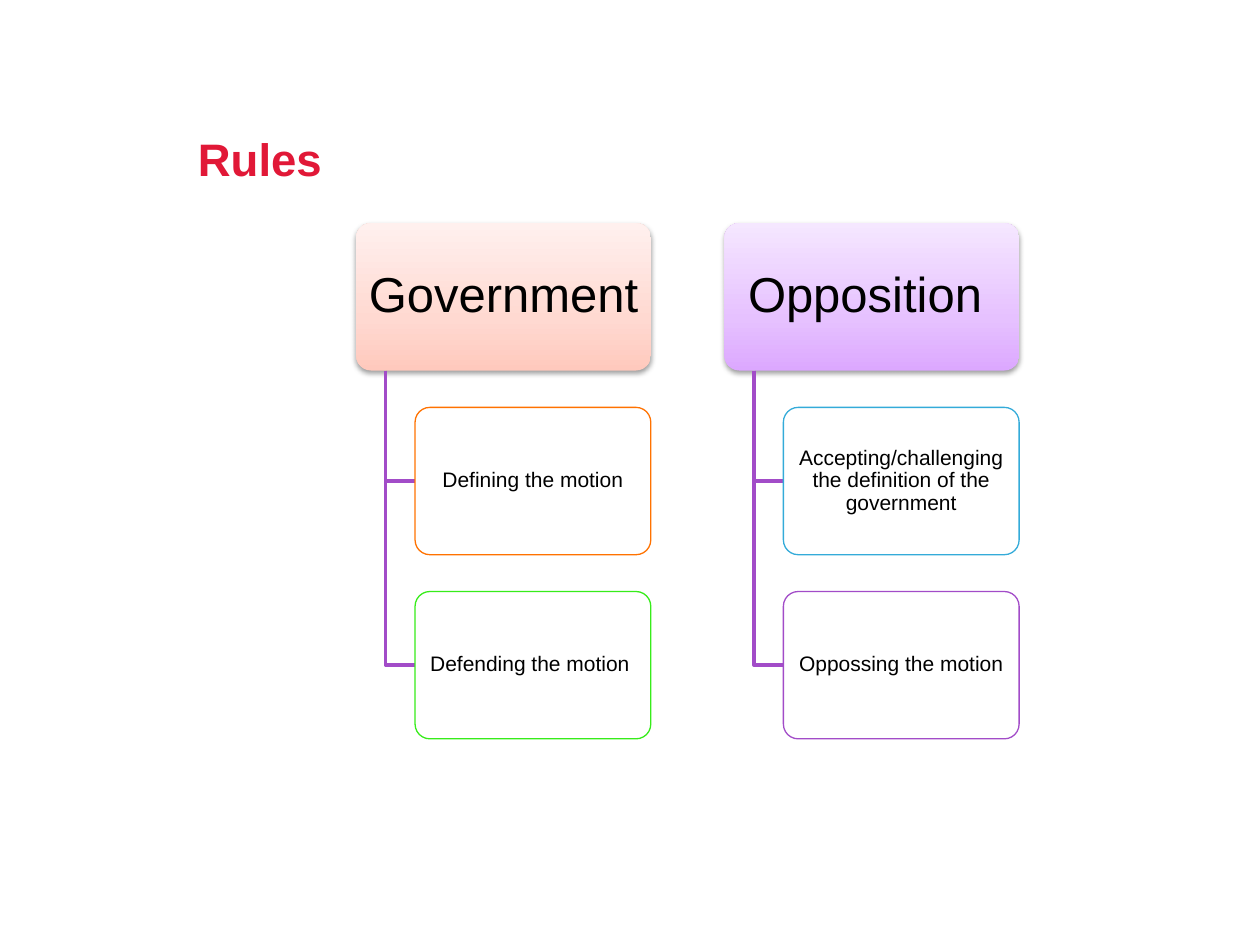
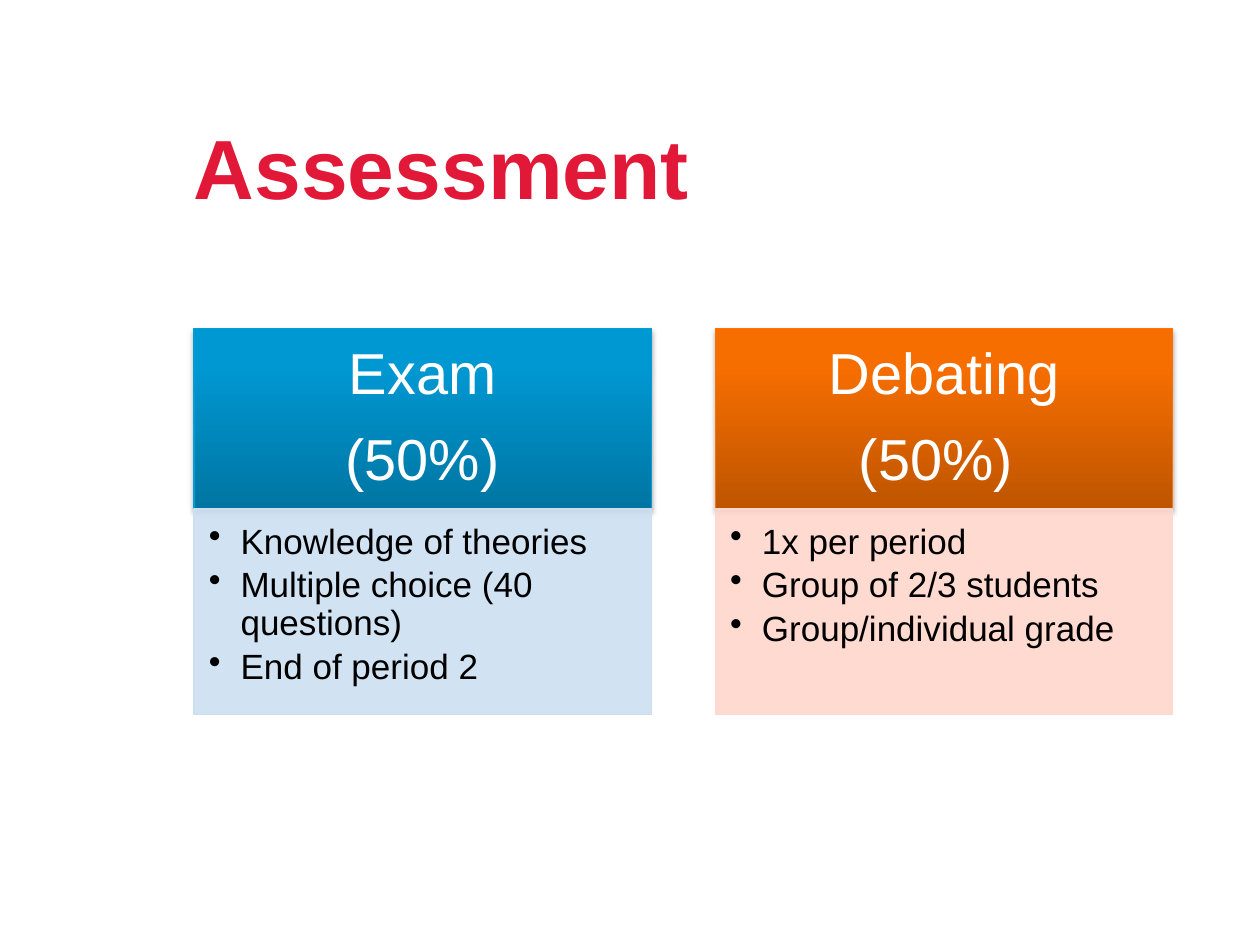
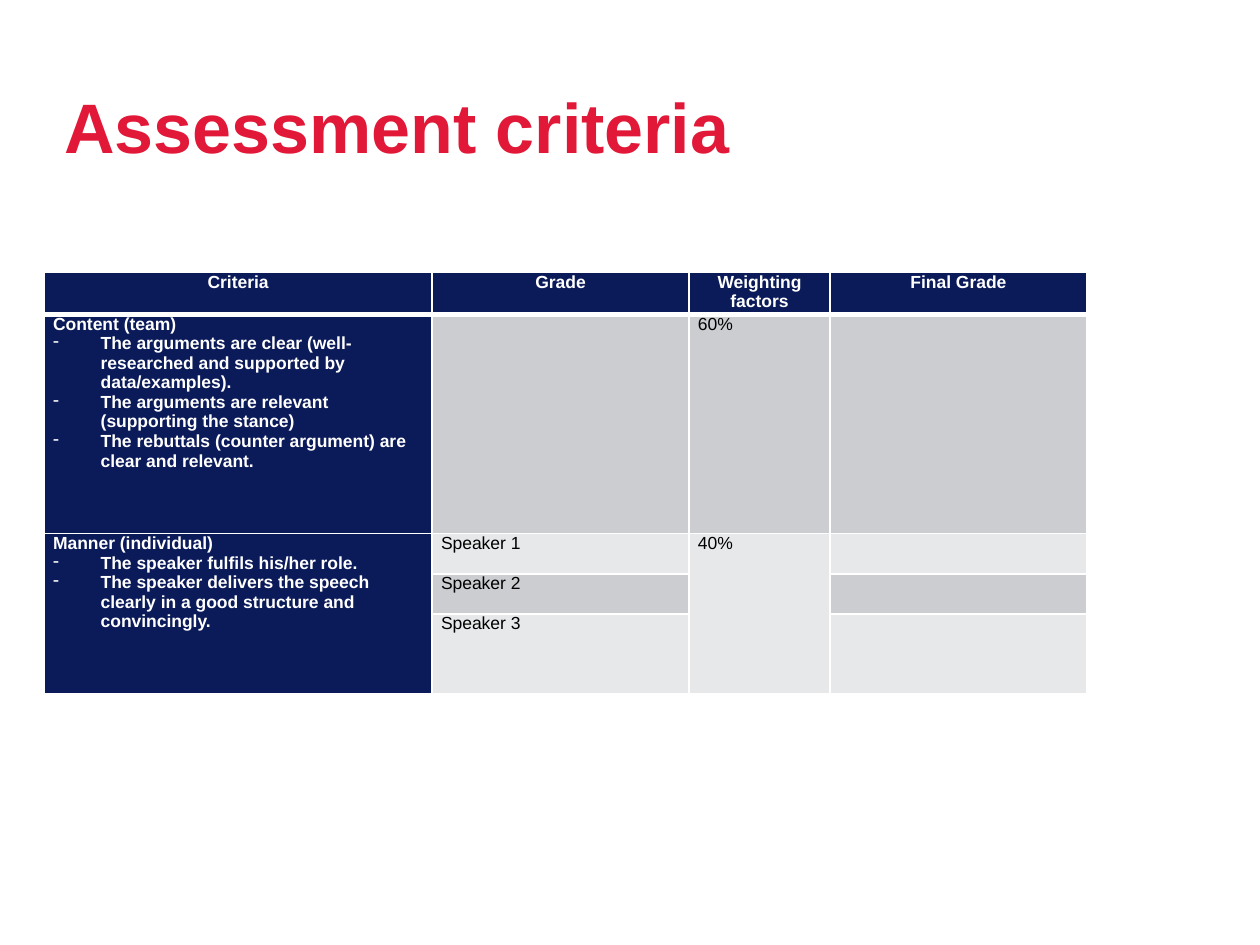
import copy

import pptx
import pptx.dml.color
import pptx.enum.shapes
import pptx.enum.text
import pptx.oxml.ns
import pptx.util
from lxml import etree

Cm = pptx.util.Cm
ALIGN = pptx.enum.text.PP_ALIGN
ANCHOR = pptx.enum.text.MSO_ANCHOR
SHAPE = pptx.enum.shapes.MSO_SHAPE
qn = pptx.oxml.ns.qn

RED, NAVY, PURPLE = "E11837", "0B1A58", "A24CC8"
WHITE, BLACK = "FFFFFF", "000000"
DARK_BAND, LIGHT_BAND = "CCCDD1", "E7E8EA"
FONT = "Arial"


def color(hex_text):
    return pptx.dml.color.RGBColor.from_string(hex_text)


def add_xml(parent, tag, **attributes):
    texts = {name: str(value) for name, value in attributes.items()}
    return etree.SubElement(parent, qn(tag), texts)


class Deck:
    """Holds the style and the slide being filled; lengths are in centimetres."""

    def __init__(self):
        self.presentation = pptx.Presentation()
        self.presentation.slide_width = Cm(25.4)
        self.presentation.slide_height = Cm(19.05)
        self.slide = None

    def new_slide(self, title, left, top, size):
        layout = self.presentation.slide_layouts[6]
        self.slide = self.presentation.slides.add_slide(layout)
        box = self.slide.shapes.add_textbox(Cm(left), Cm(top), Cm(19.79), Cm(1.4))
        self.frame(box.text_frame, (0, 0.13, 0.25, 0.13), ANCHOR.BOTTOM)
        self.add_lines(box.text_frame, [title], size, RED, bold=True, line_spacing=0.9)

    def frame(self, text_frame, insets, anchor):
        text_frame.word_wrap = True
        text_frame.vertical_anchor = anchor
        (text_frame.margin_left, text_frame.margin_top,
         text_frame.margin_right, text_frame.margin_bottom) = map(Cm, insets)

    def add_lines(self, text_frame, lines, size, text_color, bold=False, align=ALIGN.LEFT,
                  line_spacing=1.0, gap=0, bullet=None, indent=0, first_bullet=0):
        """Add one paragraph a line; gap is a share of the line height."""
        for index, line in enumerate(lines):
            paragraph = text_frame.paragraphs[0] if index == 0 else text_frame.add_paragraph()
            paragraph.alignment = align
            paragraph.line_spacing = line_spacing
            paragraph.space_after = pptx.util.Pt(round(gap * size * 1.15, 1))
            if bullet and index >= first_bullet:
                self.add_bullet(paragraph, bullet, indent)
            run = paragraph.add_run()
            run.text = line
            run.font.name = FONT
            run.font.size = pptx.util.Pt(size)
            run.font.bold = bold
            run.font.color.rgb = color(text_color)

    def add_bullet(self, paragraph, character, indent):
        properties = paragraph._p.get_or_add_pPr()
        properties.set("marL", str(Cm(indent)))
        properties.set("indent", str(-Cm(indent)))
        add_xml(properties, "a:buChar", char=character)

    def card(self, kind, left, top, width, height, line=None):
        card = self.slide.shapes.add_shape(kind, Cm(left), Cm(top), Cm(width), Cm(height))
        card.shadow.inherit = False
        if kind == SHAPE.ROUNDED_RECTANGLE:
            card.adjustments[0] = 0.1
        if line:
            card.line.color.rgb = color(line)
            card.line.width = pptx.util.Pt(0.75)
        else:
            card.line.fill.background()
        return card

    def fill_translucent(self, card, fill):
        card.fill.solid()
        card.fill.fore_color.rgb = color(fill)
        for fill_color in card._element.spPr.findall(qn("a:solidFill")):
            add_xml(fill_color[0], "a:alpha", val=90000)

    def fill_gradient(self, card, stops):
        """Run the gradient from the bottom edge to the top edge."""
        card.fill.gradient()
        card.fill.gradient_angle = 90
        stop_list = card._element.spPr.find(qn("a:gradFill")).find(qn("a:gsLst"))
        stop_list.append(copy.deepcopy(stop_list[0]))
        for stop, (position, stop_color) in zip(card.fill.gradient_stops, stops):
            stop.position = position
            stop.color.rgb = color(stop_color)

    def add_shadow(self, card, opacity, distance):
        effects = card._element.spPr.find(qn("a:effectLst"))
        shadow = add_xml(effects, "a:outerShdw", blurRad=pptx.util.Pt(3.1),
                         dist=pptx.util.Pt(distance), dir=5400000, rotWithShape=0)
        shadow_color = add_xml(shadow, "a:srgbClr", val=BLACK)
        add_xml(shadow_color, "a:alpha", val=opacity * 1000)

    def elbow(self, left, top, right, bottom):
        """Draw an open line down and then to the right."""
        builder = self.slide.shapes.build_freeform(Cm(left), Cm(top))
        corners = [(Cm(left), Cm(bottom)), (Cm(right), Cm(bottom))]
        builder.add_line_segments(corners, close=False)
        elbow = builder.convert_to_shape()
        elbow.shadow.inherit = False
        elbow.fill.background()
        elbow.line.color.rgb = color(PURPLE)
        elbow.line.width = pptx.util.Pt(2)

    def table(self, left, top, widths, heights):
        table = self.slide.shapes.add_table(
            len(heights), len(widths), Cm(left), Cm(top),
            Cm(sum(widths)), Cm(sum(heights))).table
        for column, width in zip(table.columns, widths):
            column.width = Cm(width)
        for row, height in zip(table.rows, heights):
            row.height = Cm(height)
        return table

    def style_cell(self, cell, fill, top_width, bottom_width):
        cell.margin_left = cell.margin_right = Cm(0.18)
        cell.margin_top = cell.margin_bottom = 0
        properties = cell._tc.get_or_add_tcPr()
        for side, width in zip("LRTB", (1, 1, top_width, bottom_width)):
            border = add_xml(properties, f"a:ln{side}", w=pptx.util.Pt(width))
            add_xml(add_xml(border, "a:solidFill"), "a:srgbClr", val=WHITE)
        cell.fill.solid()
        cell.fill.fore_color.rgb = color(fill)


def build_rules(deck):
    deck.new_slide("Rules", 3.99, 2.49, 26)
    left, top, width = 7.18, 4.5, 5.94
    height, row_pitch, column_pitch = width / 2, width * 5 / 8, width * 5 / 4
    teams = [
        ("Government ", [(0, "FFC9BD"), (0.35, "FFD9D1"), (1, "FFF0EE")],
         [("Defining the motion", "FF7200"), ("Defending the motion ", "37EC1A")]),
        ("Opposition ", [(0, "DCA8FF"), (0.35, "E6C1FF"), (1, "F5E7FF")],
         [("Accepting/challenging the definition of the government", "34ABD9"),
          ("Oppossing the motion", PURPLE)]),
    ]
    style = {"align": ALIGN.CENTER, "line_spacing": 0.9, "gap": 0.35}
    for column, (team, stops, tasks) in enumerate(teams):
        team_left = left + column * column_pitch
        task_left = team_left + width / 5
        header = deck.card(SHAPE.ROUNDED_RECTANGLE, team_left, top, width, height)
        deck.fill_gradient(header, stops)
        deck.add_shadow(header, 38, 1.6)
        deck.frame(header.text_frame, (0.15, 0.1, 0.15, 0.1), ANCHOR.MIDDLE)
        deck.add_lines(header.text_frame, [team], 28, BLACK, **style)
        for row, (task, outline) in enumerate(tasks, start=1):
            task_top = top + row * row_pitch
            deck.elbow(team_left + width / 10, top + height, task_left, task_top + height / 2)
            box = deck.card(SHAPE.ROUNDED_RECTANGLE, task_left, task_top,
                            width * 4 / 5, height, outline)
            deck.fill_translucent(box, WHITE)
            deck.frame(box.text_frame, (0.08, 0.05, 0.08, 0.05), ANCHOR.MIDDLE)
            deck.add_lines(box.text_frame, [task], 12, BLACK, **style)


def build_assessment(deck):
    deck.new_slide("Assessment", 3.91, 3.12, 48)
    left, top, width, header_height, body_height = 3.91, 6.63, 9.22, 3.63, 4.14
    parts = [
        (["Exam", "(50%)"], [(0, "0075A2"), (0.8, "0098D2"), (1, "0099D3")],
         "009DD9", "CCDFF1",
         ["Knowledge of theories", "Multiple choice (40 questions)", "End of period 2"]),
        (["Debating", "(50%) "], [(0, "BE5500"), (0.8, "F76E00"), (1, "F86F00")],
         "FF7200", "FFD7CC",
         ["1x per period", "Group of 2/3 students", "Group/individual grade"]),
    ]
    for column, (heading, stops, outline, tint, points) in enumerate(parts):
        part_left = left + column * width * 1.14
        header = deck.card(SHAPE.RECTANGLE, part_left, top, width, header_height, outline)
        deck.fill_gradient(header, stops)
        deck.add_shadow(header, 35, 1.8)
        deck.frame(header.text_frame, (0.66, 0.38, 0.66, 0.38), ANCHOR.MIDDLE)
        deck.add_lines(header.text_frame, heading, 33, WHITE, align=ALIGN.CENTER,
                       line_spacing=0.9, gap=0.35)
        body = deck.card(SHAPE.RECTANGLE, part_left, top + header_height,
                         width, body_height, tint)
        deck.fill_translucent(body, tint)
        deck.frame(body.text_frame, (0.3, 0.3, 0.41, 0.43), ANCHOR.TOP)
        deck.add_lines(body.text_frame, points, 20, BLACK, line_spacing=0.9, gap=0.15,
                       bullet="•", indent=0.64)


def build_criteria(deck):
    deck.new_slide("Assessment criteria", 1.3, 2.13, 40)
    content = [
        "Content (team)",
        "The arguments are clear (well-researched and supported by data/examples).",
        "The arguments are relevant (supporting the stance)",
        "The rebuttals (counter argument) are clear and relevant.",
    ]
    manner = [
        "Manner (individual)",
        "The speaker fulfils his/her role.",
        "The speaker delivers the speech clearly in a good structure and convincingly.",
    ]
    rows = [
        [["Criteria"], ["Grade"], ["Weighting factors"], ["Final Grade"]],
        [content, [], ["60%"], []],
        [manner, ["Speaker 1"], ["40%"], []],
        [[], ["Speaker 2"], [], []],
        [[], ["Speaker 3"], [], []],
    ]
    table = deck.table(0.89, 5.49, [7.82, 5.18, 2.84, 5.18], [0.81, 4.42, 0.81, 0.81, 1.6])
    for row, texts in enumerate(rows):
        for column, lines in enumerate(texts):
            cell = table.cell(row, column)
            is_header, is_criterion = row == 0, column == 0
            is_navy = is_header or is_criterion
            band = DARK_BAND if row % 2 else LIGHT_BAND
            deck.style_cell(cell, NAVY if is_navy else band,
                            3 if row == 1 else 1, 3 if is_header else 1)
            deck.add_lines(cell.text_frame, lines, 10, WHITE if is_navy else BLACK,
                           bold=is_navy, align=ALIGN.CENTER if is_header else ALIGN.LEFT,
                           bullet="-" if is_criterion else None, indent=0.96, first_bullet=1)
    for column in (0, 2):
        table.cell(2, column).merge(table.cell(4, column))


def main():
    deck = Deck()
    build_rules(deck)
    build_assessment(deck)
    build_criteria(deck)
    deck.presentation.save("out.pptx")


if __name__ == "__main__":
    main()
